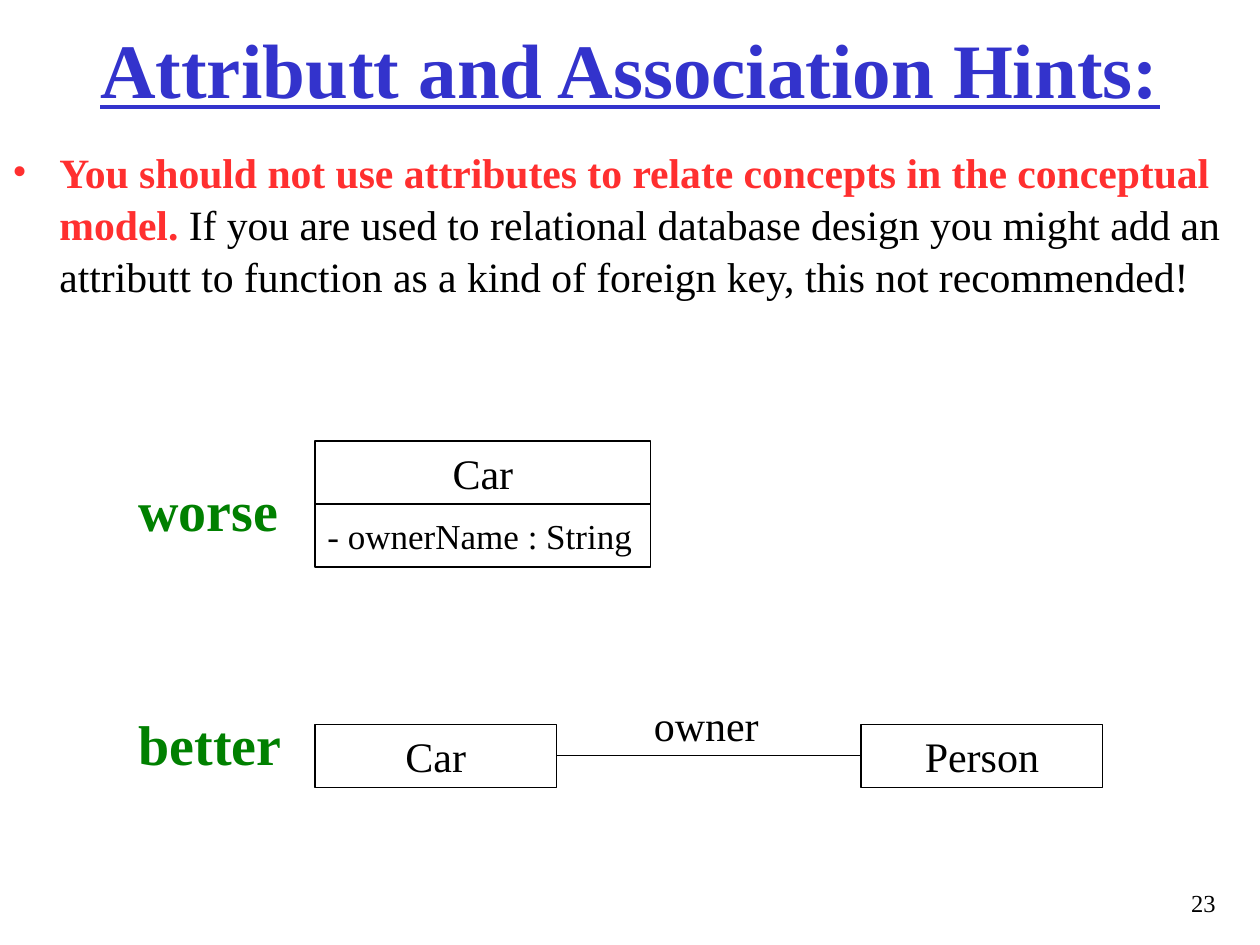
from lxml import etree
from pptx import Presentation
from pptx.dml.color import RGBColor
from pptx.enum import shapes, text
from pptx.oxml.ns import qn
from pptx.util import Cm, Pt

FONT = "Times New Roman"
BLACK, WHITE, BLUE, RED, GREEN = "000000", "FFFFFF", "3333CC", "FF2F2F", "008000"
LEFT, CENTER, RIGHT = text.PP_ALIGN.LEFT, text.PP_ALIGN.CENTER, text.PP_ALIGN.RIGHT

# Content
TITLE = "Attributt and Association Hints:"
HINT = [
    ("You should not use attributes to relate concepts in the conceptual model.", RED, True),
    (" If you are used to relational database design you might add an attributt to "
     "function as a kind of foreign key, this not recommended!", BLACK, False),
]
BOX_X, BOX_H = 6.35, 1.27
WIDE, NARROW = 6.77, 4.87
WORSE_Y, BETTER_Y, PERSON_X = 8.89, 14.6, 17.36
BOXES = [  # text, left, top, width, size, alignment
    ("- ownerName : String", BOX_X, WORSE_Y + BOX_H, WIDE, 20, LEFT),
    ("Car", BOX_X, WORSE_Y, WIDE, 24, CENTER),
    ("Car", BOX_X, BETTER_Y, NARROW, 24, CENTER),
    ("Person", PERSON_X, BETTER_Y, NARROW, 24, CENTER),
]
LABELS = [  # text, left, top, width, height, format
    ("owner", 12.93, 13.97, 2.62, 1.27, dict(size=24)),
    ("worse", 2.54, 9.47, 3.33, 1.63, dict(size=32, color=GREEN, bold=True)),
    ("better", 2.54, 14.17, 3.38, 1.63, dict(size=32, color=GREEN, bold=True)),
]


def rgb(value):
    return RGBColor.from_string(value)


def add_run(p, content, size=24, color=BLACK, bold=False, underline=False):
    r = p.add_run()
    r.text = content
    r.font.name, r.font.size = FONT, Pt(size)
    r.font.bold, r.font.underline = bold, underline
    r.font.color.rgb = rgb(color)


def write(sp, content, align=LEFT, anchor=text.MSO_ANCHOR.TOP, wrap=False, **style):
    tf = sp.text_frame
    tf.auto_size = text.MSO_AUTO_SIZE.NONE
    tf.word_wrap, tf.vertical_anchor = wrap, anchor
    p = tf.paragraphs[0]
    p.alignment = align
    add_run(p, content, **style)


def add_text(left, top, width, height, content="", **style):
    sp = s.shapes.add_textbox(Cm(left), Cm(top), Cm(width), Cm(height))
    write(sp, content, **style)
    return sp


prs = Presentation()
prs.slide_width, prs.slide_height = Cm(25.4), Cm(19.05)
s = prs.slides.add_slide(prs.slide_layouts[5])

# Title
title = s.shapes.title
title.left, title.top, title.width, title.height = Cm(0), Cm(0.2), Cm(25.4), Cm(2.34)
write(title, TITLE, align=CENTER, anchor=text.MSO_ANCHOR.MIDDLE, wrap=True,
      size=44, color=BLUE, bold=True, underline=True)

# Bulleted hint
sp = s.shapes.add_textbox(Cm(0), Cm(2.79), Cm(25.4), Cm(4.4))
sp.text_frame.word_wrap = True
p = sp.text_frame.paragraphs[0]
pPr = p._p.get_or_add_pPr()
pPr.set("marL", str(Cm(0.95)))
pPr.set("indent", str(Cm(-0.95)))
bullet_color = etree.SubElement(pPr, qn("a:buClr"))
etree.SubElement(bullet_color, qn("a:srgbClr"), val=RED)
etree.SubElement(pPr, qn("a:buFont"), typeface=FONT)
etree.SubElement(pPr, qn("a:buChar"), char="•")
p.line_spacing = 1.04
for content, color, bold in HINT:
    add_run(p, content, size=23.8, color=color, bold=bold)

# Class boxes
for content, left, top, width, size, align in BOXES:
    sp = s.shapes.add_shape(shapes.MSO_SHAPE.RECTANGLE,
                            Cm(left), Cm(top), Cm(width), Cm(BOX_H))
    sp.shadow.inherit = False
    sp.fill.solid()
    sp.fill.fore_color.rgb = rgb(WHITE)
    sp.line.color.rgb, sp.line.width = rgb(BLACK), Pt(0.75)
    write(sp, content, align=align, anchor=text.MSO_ANCHOR.MIDDLE, size=size)

# Association between Car and Person
line_y = Cm(BETTER_Y + BOX_H / 2)
line = s.shapes.add_connector(shapes.MSO_CONNECTOR.STRAIGHT,
                              Cm(BOX_X + NARROW), line_y, Cm(PERSON_X), line_y)
line.line.color.rgb, line.line.width = rgb(BLACK), Pt(0.75)
etree.SubElement(line._element.spPr, qn("a:effectLst"))

# Labels and page number
for content, left, top, width, height, style in LABELS:
    add_text(left, top, width, height, content, **style)
add_text(11.86, 17.78, 12.9, 0.84, "23", align=RIGHT, wrap=True, size=14)

prs.save("out.pptx")
